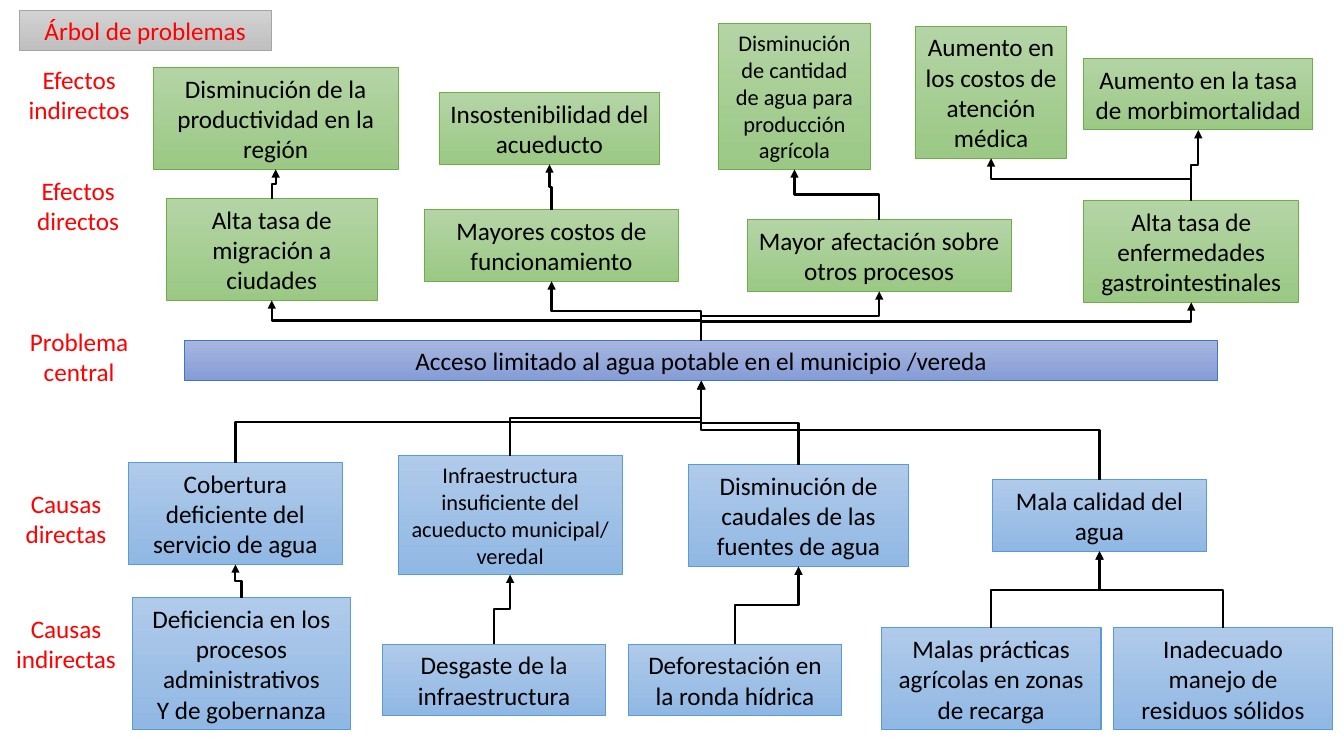
from pptx import Presentation
from pptx.dml.color import RGBColor
from pptx.enum.shapes import MSO_CONNECTOR, MSO_SHAPE
from pptx.enum.text import MSO_ANCHOR, MSO_AUTO_SIZE, PP_ALIGN
from pptx.oxml.ns import qn
from pptx.util import Inches, Pt
from lxml.etree import SubElement

# Gradient top, gradient bottom, outline
GREEN = ("B4D4A5", "9BC985", "70AD47")
BLUE = ("B0CAE9", "90B8E4", "5B9BD5")
INDIGO = ("A6B6DE", "859CD7", "4472C4")
GRAY = ("D2D2D2", "C0C0C0", "A5A5A5")
TOP_SITE, BOTTOM_SITE = 0, 2


def write(box, text, color, size=18):
    frame = box.text_frame
    frame.text = text
    frame.word_wrap = True
    frame.auto_size = MSO_AUTO_SIZE.NONE
    frame.vertical_anchor = MSO_ANCHOR.MIDDLE
    for para in frame.paragraphs:
        para.alignment = PP_ALIGN.CENTER
        para.font.name = "Calibri"
        para.font.size = Pt(size)
        para.font.color.rgb = RGBColor.from_string(color)


def paint(box, palette, line_width=0.75):
    top, bottom, outline = palette
    box.fill.gradient()
    box.fill.gradient_angle = 270
    for stop, color in zip(box.fill.gradient_stops, (top, bottom)):
        stop.color.rgb = RGBColor.from_string(color)
    box.line.color.rgb = RGBColor.from_string(outline)
    box.line.width = Pt(line_width)
    box.shadow.inherit = False


deck = Presentation()
deck.slide_width, deck.slide_height = Inches(13.33), Inches(7.5)
page = deck.slides.add_slide(deck.slide_layouts[5])

title = page.shapes.title
title.left, title.top = Inches(0.19), Inches(0.1)
title.width, title.height = Inches(2.5), Inches(0.4)
write(title, "Árbol de problemas", "FF0000")
paint(title, GRAY, 0.5)

labels = [
    ("Efectos indirectos", 0, 0.58),
    ("Efectos directos", -0.01, 1.68),
    ("Problema central", 0, 3.18),
    ("Causas directas", -0.13, 4.79),
    ("Causas indirectas", -0.13, 6.03),
]
for text, left, top in labels:
    label = page.shapes.add_textbox(Inches(left), Inches(top), Inches(1.57), Inches(0.71))
    write(label, text, "FF0000")

# Name: palette, left, top, width, height, text size, text
nodes = {
    "productividad": (GREEN, 1.52, 0.67, 2.43, 1.01, 18, "Disminución de la productividad en la región"),
    "insostenible": (GREEN, 4.36, 0.92, 2.18, 0.71, 18, "Insostenibilidad del acueducto"),
    "agrícola": (GREEN, 7.13, 0.23, 1.5, 1.45, 16,
                 "Disminución de cantidad de agua para producción agrícola"),
    "atención": (GREEN, 9.08, 0.26, 1.5, 1.31, 18, "Aumento en los costos de atención médica"),
    "morbimortalidad": (GREEN, 10.75, 0.58, 2.27, 0.71, 18, "Aumento en la tasa de morbimortalidad"),
    "migración": (GREEN, 1.65, 1.97, 2.09, 1.01, 18, "Alta tasa de migración a ciudades"),
    "costos": (GREEN, 4.21, 2.08, 2.52, 0.71, 18, "Mayores costos de funcionamiento"),
    "procesos": (GREEN, 7.41, 2.18, 2.62, 0.71, 18, "Mayor afectación sobre otros procesos"),
    "enfermedades": (GREEN, 10.75, 1.99, 2.13, 1.01, 18, "Alta tasa de enfermedades gastrointestinales"),
    "central": (INDIGO, 1.83, 3.38, 10.25, 0.4, 18, "Acceso limitado al agua potable en el municipio /vereda"),
    "cobertura": (BLUE, 1.27, 4.59, 2.13, 1.01, 18, "Cobertura deficiente del servicio de agua"),
    "infraestructura": (BLUE, 3.95, 4.52, 2.22, 1.18, 16,
                        "Infraestructura insuficiente del acueducto municipal/ veredal"),
    "caudales": (BLUE, 6.83, 4.61, 2.18, 1.01, 18, "Disminución de caudales de las fuentes de agua"),
    "calidad": (BLUE, 9.84, 4.76, 2.13, 0.71, 18, "Mala calidad del agua"),
    "gobernanza": (BLUE, 1.31, 5.93, 2.17, 1.31, 18,
                   "Deficiencia en los procesos administrativos\nY de gobernanza"),
    "desgaste": (BLUE, 3.79, 6.39, 2.22, 0.71, 18, "Desgaste de la infraestructura"),
    "deforestación": (BLUE, 6.23, 6.39, 2.12, 0.71, 18, "Deforestación en la ronda hídrica"),
    "prácticas": (BLUE, 8.74, 6.23, 2.18, 1.01, 18, "Malas prácticas agrícolas en zonas de recarga"),
    "residuos": (BLUE, 11.04, 6.23, 2.18, 1.01, 18, "Inadecuado manejo de residuos sólidos"),
}
boxes = {}
for name, (palette, left, top, width, height, size, text) in nodes.items():
    box = page.shapes.add_shape(
        MSO_SHAPE.RECTANGLE, Inches(left), Inches(top), Inches(width), Inches(height))
    write(box, text, "000000", size)
    paint(box, palette)
    boxes[name] = box

# Each lower box leads up to the boxes listed after it
links = {
    "gobernanza": ["cobertura"],
    "desgaste": ["infraestructura"],
    "deforestación": ["caudales"],
    "prácticas": ["calidad"],
    "residuos": ["calidad"],
    "cobertura": ["central"],
    "infraestructura": ["central"],
    "caudales": ["central"],
    "calidad": ["central"],
    "central": ["migración", "costos", "procesos", "enfermedades"],
    "migración": ["productividad"],
    "costos": ["insostenible"],
    "procesos": ["agrícola"],
    "enfermedades": ["atención", "morbimortalidad"],
}
for source, targets in links.items():
    for target in targets:
        lower, upper = boxes[source], boxes[target]
        arrow = page.shapes.add_connector(MSO_CONNECTOR.ELBOW, 0, 0, 0, 0)
        arrow.begin_connect(lower, TOP_SITE)
        arrow.end_connect(upper, BOTTOM_SITE)

        # A quarter turn makes the elbow leave and arrive vertically
        start_x, start_y = lower.left + lower.width // 2, lower.top
        end_x, end_y = upper.left + upper.width // 2, upper.top + upper.height
        rise, run = start_y - end_y, abs(end_x - start_x)
        arrow.left = (start_x + end_x - rise) // 2
        arrow.top = (start_y + end_y - run) // 2
        arrow.width, arrow.height = rise, run
        rightward = end_x > start_x
        properties = arrow._element.spPr
        frame = properties.find(qn("a:xfrm"))
        frame.set("rot", str((90 if rightward else 270) * 60000))
        frame.set("flipH", "1" if rightward else "0")
        frame.set("flipV", "1")

        arrow.line.color.rgb = RGBColor.from_string("000000")
        arrow.line.width = Pt(1.5)
        SubElement(properties.find(qn("a:ln")), qn("a:tailEnd"), type="triangle")
        SubElement(properties, qn("a:effectLst"))

deck.save("out.pptx")
